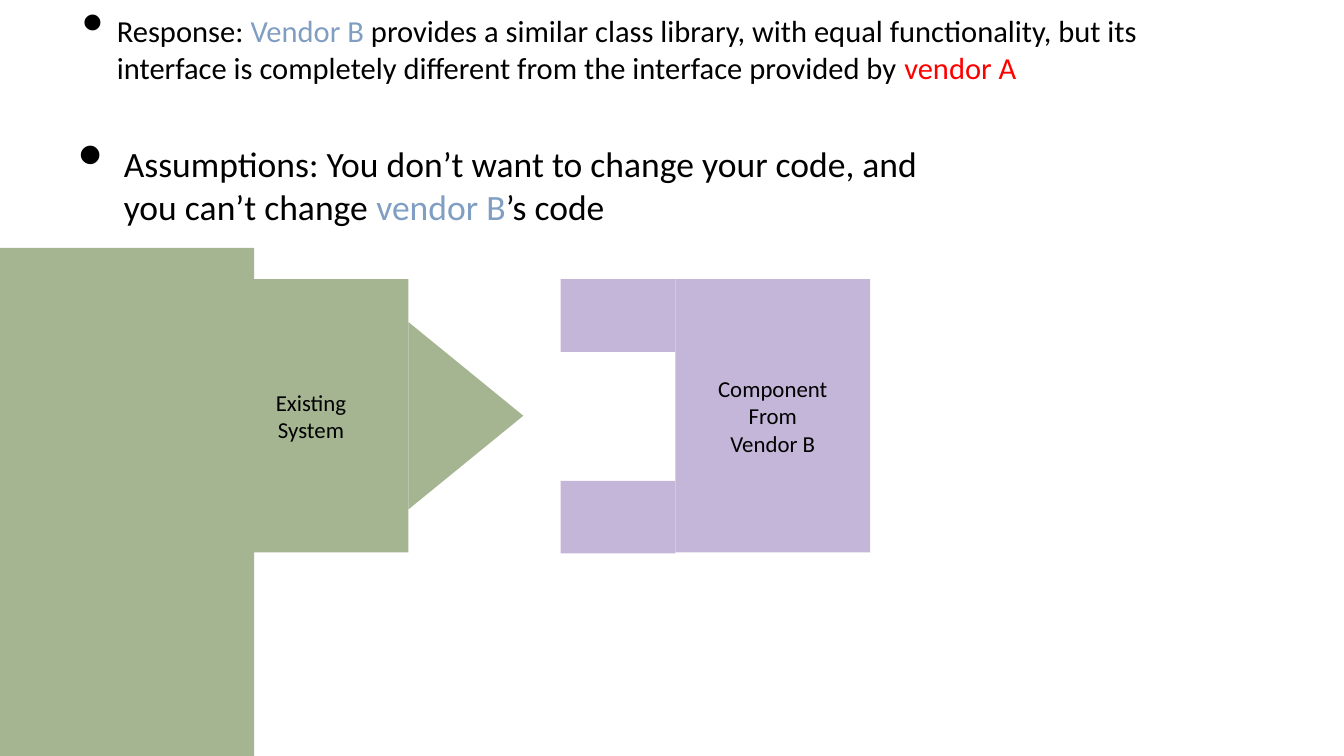
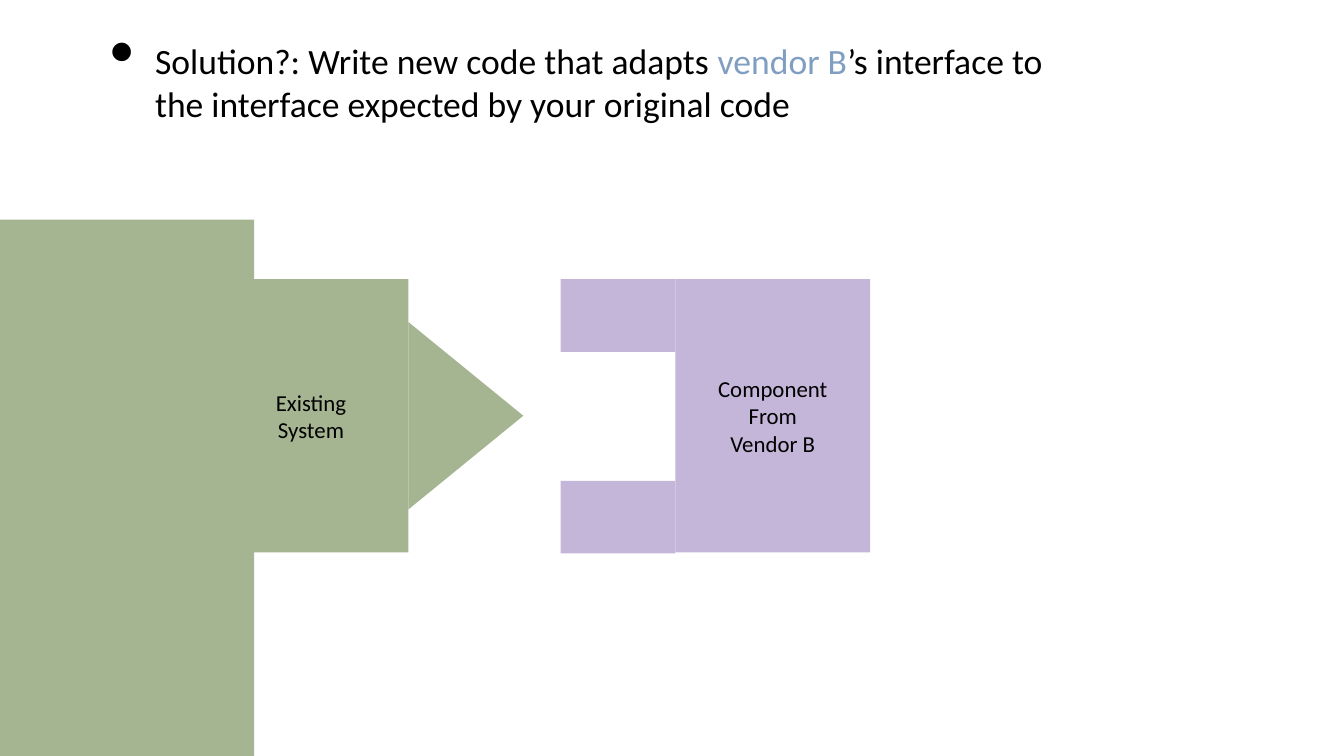
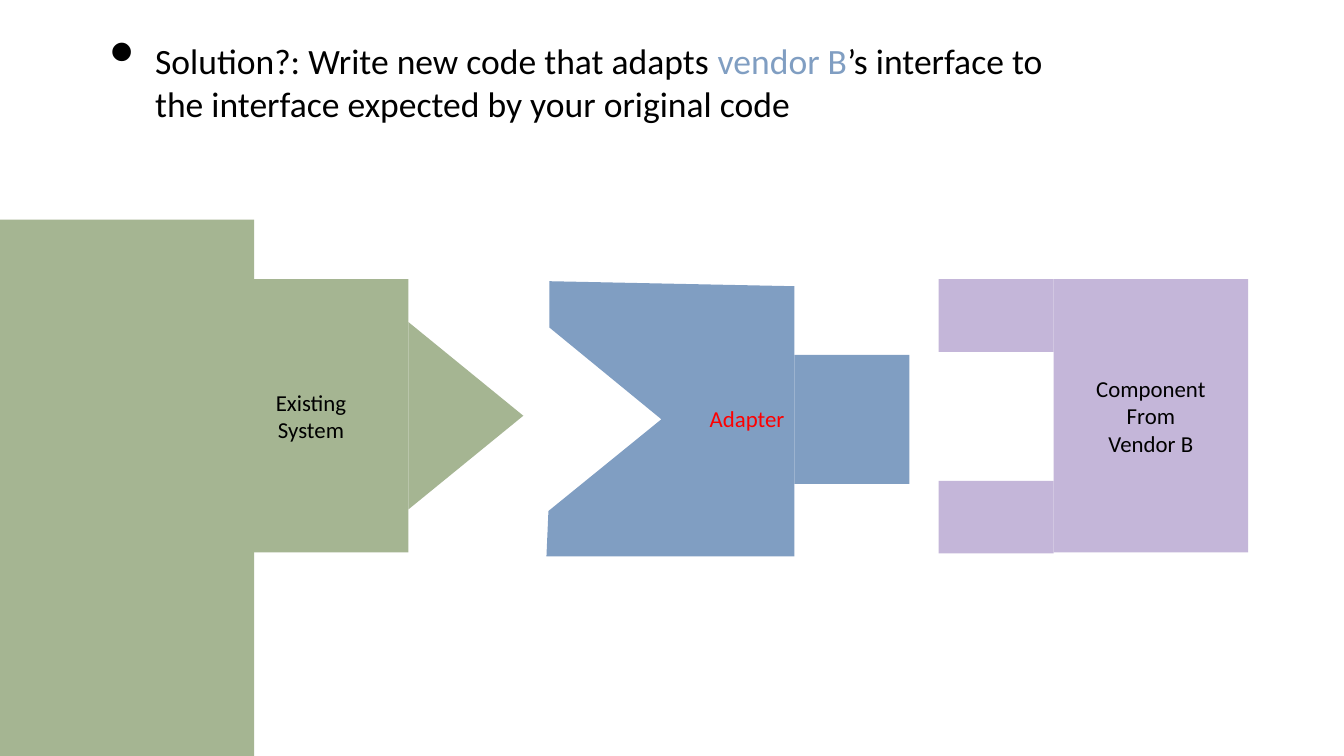
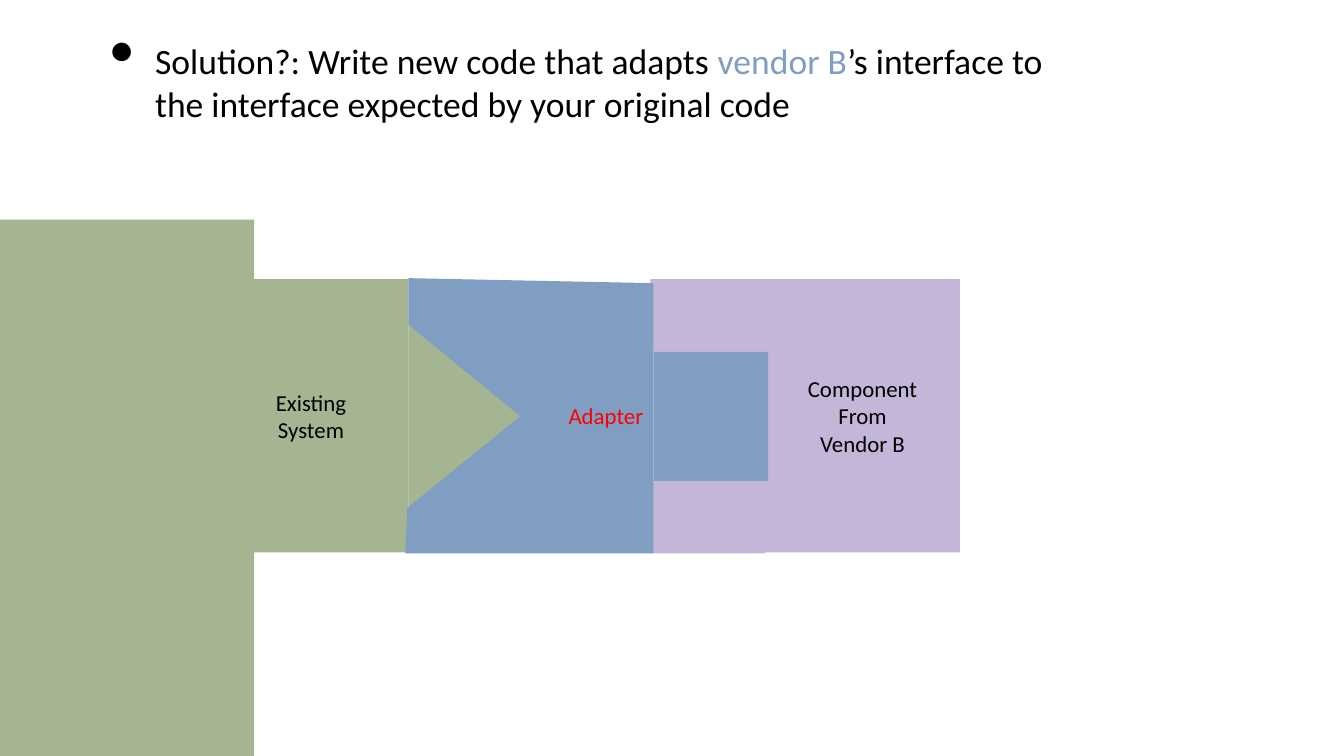
"""Build four slides that explain the adapter pattern with interlocking blocks."""
from lxml import etree
from pptx import Presentation
from pptx.dml.color import RGBColor
from pptx.enum.shapes import MSO_SHAPE
from pptx.enum.text import MSO_ANCHOR, MSO_AUTO_SIZE, PP_ALIGN
from pptx.oxml.ns import qn
from pptx.util import Inches, Pt

RECTANGLE, TRIANGLE = MSO_SHAPE.RECTANGLE, MSO_SHAPE.ISOSCELES_TRIANGLE
LEFT, CENTER, RIGHT = PP_ALIGN.LEFT, PP_ALIGN.CENTER, PP_ALIGN.RIGHT
TOP, MIDDLE = MSO_ANCHOR.TOP, MSO_ANCHOR.MIDDLE
GROW = MSO_AUTO_SIZE.SHAPE_TO_FIT_TEXT

COLORS = {"system": "A5B592", "component": "C4B6D9", "adapter": "809EC2",
          "text": "000000", "alert": "FF0000"}
FONT = "Calibri"
LABEL_SIZE = 16.3
SLIDE_WIDTH, SLIDE_HEIGHT = 13.33, 7.5

BLOCK_TOP, BLOCK_WIDTH, BLOCK_HEIGHT = 2.77, 1.93, 2.71
BLOCK_MIDDLE = BLOCK_TOP + BLOCK_HEIGHT / 2
SYSTEM_LEFT, WALL_WIDTH = 2.12, 2.52
POINT_BASE, POINT_DEPTH = 1.86, 1.14
PRONG_WIDTH, PRONG_HEIGHT = 1.14, 0.72
PLUG_TOP, PLUG_HEIGHT = 0.73, 1.28
ADAPTER_WIDTH = 2.46
ADAPTER_OUTLINE = [(0.03, 0), (0.03, 0.46), (1.14, 1.37), (0.02, 2.28), (0, 2.73),
                   (ADAPTER_WIDTH, 2.73), (ADAPTER_WIDTH, 0.05)]

RESPONSE = {
    "box": (0.72, 0.07, 11.66, 0.83), "size": 21.8, "indent": 0.34,
    "runs": [("Response: ", "text"), ("Vendor B", "adapter"),
             (" provides a similar class library, with equal functionality, but its "
              "interface is completely different from the interface provided by ", "text"),
             ("vendor A", "alert")]}
ASSUMPTIONS = {
    "box": (0.68, 1.36, 8.94, 0.96), "size": 25.4, "indent": 0.45,
    "runs": [("Assumptions: You don’t want to change your code, and you can’t change ", "text"),
             ("vendor B", "adapter"), ("’s code", "text")]}
SOLUTION = {
    "box": (0.99, 0.34, 9.61, 0.96), "size": 25.4, "indent": 0.45,
    "runs": [("Solution?: Write new code that adapts ", "text"), ("vendor B", "adapter"),
             ("’s interface to the interface expected by your original code", "text")]}

SLIDES = [
    {"bullets": [RESPONSE, ASSUMPTIONS], "wall_top": 2.46, "component": 5.56},
    {"bullets": [SOLUTION], "wall_top": 2.18, "component": 5.56},
    {"bullets": [SOLUTION], "wall_top": 2.18, "component": 9.31, "adapter": (5.42, 2.79)},
    {"bullets": [SOLUTION], "wall_top": 2.18, "component": 6.45, "adapter": (4.02, 2.76)},
]


def write_text(shape, paragraphs, size=LABEL_SIZE, align=CENTER, anchor=MIDDLE, indent=None):
    """Fill a shape with paragraphs of (text, color name) runs."""
    frame = shape.text_frame
    frame.word_wrap = True
    frame.vertical_anchor = anchor
    for index, runs in enumerate(paragraphs):
        paragraph = frame.add_paragraph() if index else frame.paragraphs[0]
        paragraph.alignment = align
        for text, color in runs:
            run = paragraph.add_run()
            run.text = text
            run.font.name = FONT
            run.font.size = Pt(size)
            run.font.color.rgb = RGBColor.from_string(COLORS[color])
        if indent:
            add_bullet(paragraph, indent)


def add_bullet(paragraph, indent):
    """Give a paragraph a double-size bullet with a hanging indent."""
    properties = paragraph._p.get_or_add_pPr()
    properties.set("marL", str(Inches(indent)))
    properties.set("indent", str(-Inches(indent)))
    etree.SubElement(properties, qn("a:buSzPct"), val="200000")
    etree.SubElement(properties, qn("a:buChar"), char="•")


def paint(shape, color):
    """Give a shape a flat fill without line or shadow."""
    shape.shadow.inherit = False
    shape.fill.solid()
    shape.fill.fore_color.rgb = RGBColor.from_string(COLORS[color])
    shape.line.fill.background()
    return shape


def add_block(shapes, box, color, kind=RECTANGLE):
    """Add a painted preset shape at a box given in inches."""
    return paint(shapes.add_shape(kind, *map(Inches, box)), color)


def add_bullet_box(slide, bullet):
    """Add a text box holding one bulleted statement."""
    box = slide.shapes.add_textbox(*map(Inches, bullet["box"]))
    write_text(box, [bullet["runs"]], size=bullet["size"], align=LEFT, anchor=TOP,
               indent=bullet["indent"])
    box.text_frame.auto_size = GROW


def add_system(slide):
    """Add the existing system with its pointed interface."""
    body = add_block(slide.shapes, (SYSTEM_LEFT, BLOCK_TOP, BLOCK_WIDTH, BLOCK_HEIGHT), "system")
    write_text(body, [[("Existing", "text")], [("System", "text")]])
    point_center = SYSTEM_LEFT + BLOCK_WIDTH + POINT_DEPTH / 2
    point = add_block(slide.shapes, (point_center - POINT_BASE / 2, BLOCK_MIDDLE - POINT_DEPTH / 2,
                                     POINT_BASE, POINT_DEPTH), "system", TRIANGLE)
    point.rotation = 90


def add_component(slide, left):
    """Add the vendor component with its two prongs."""
    shapes = slide.shapes.add_group_shape().shapes
    body = add_block(shapes, (left + PRONG_WIDTH, BLOCK_TOP, BLOCK_WIDTH, BLOCK_HEIGHT), "component")
    write_text(body, [[(line, "text")] for line in ("Component", "From", "Vendor B")])
    for top in (BLOCK_TOP, BLOCK_TOP + BLOCK_HEIGHT - PRONG_HEIGHT + 0.01):
        add_block(shapes, (left, top, PRONG_WIDTH, PRONG_HEIGHT), "component")


def add_adapter(slide, left, top):
    """Add the notched adapter with its plug."""
    shapes = slide.shapes.add_group_shape().shapes
    points = [(Inches(left + x), Inches(top + y)) for x, y in ADAPTER_OUTLINE]
    builder = shapes.build_freeform(*points[0])
    builder.add_line_segments(points[1:], close=True)
    body = paint(builder.convert_to_shape(), "adapter")
    write_text(body, [[("Adapter", "alert")]], align=RIGHT)
    add_block(shapes, (left + ADAPTER_WIDTH, top + PLUG_TOP, PRONG_WIDTH, PLUG_HEIGHT), "adapter")


def main():
    """Build and save the presentation."""
    presentation = Presentation()
    presentation.slide_width = Inches(SLIDE_WIDTH)
    presentation.slide_height = Inches(SLIDE_HEIGHT)
    for content in SLIDES:
        slide = presentation.slides.add_slide(presentation.slide_layouts[6])
        add_system(slide)
        add_component(slide, content["component"])
        for bullet in content["bullets"]:
            add_bullet_box(slide, bullet)
        if "adapter" in content:
            add_adapter(slide, *content["adapter"])
        wall_top = content["wall_top"]
        add_block(slide.shapes, (0, wall_top, WALL_WIDTH, SLIDE_HEIGHT - wall_top), "system")
    presentation.save("out.pptx")


if __name__ == "__main__":
    main()
